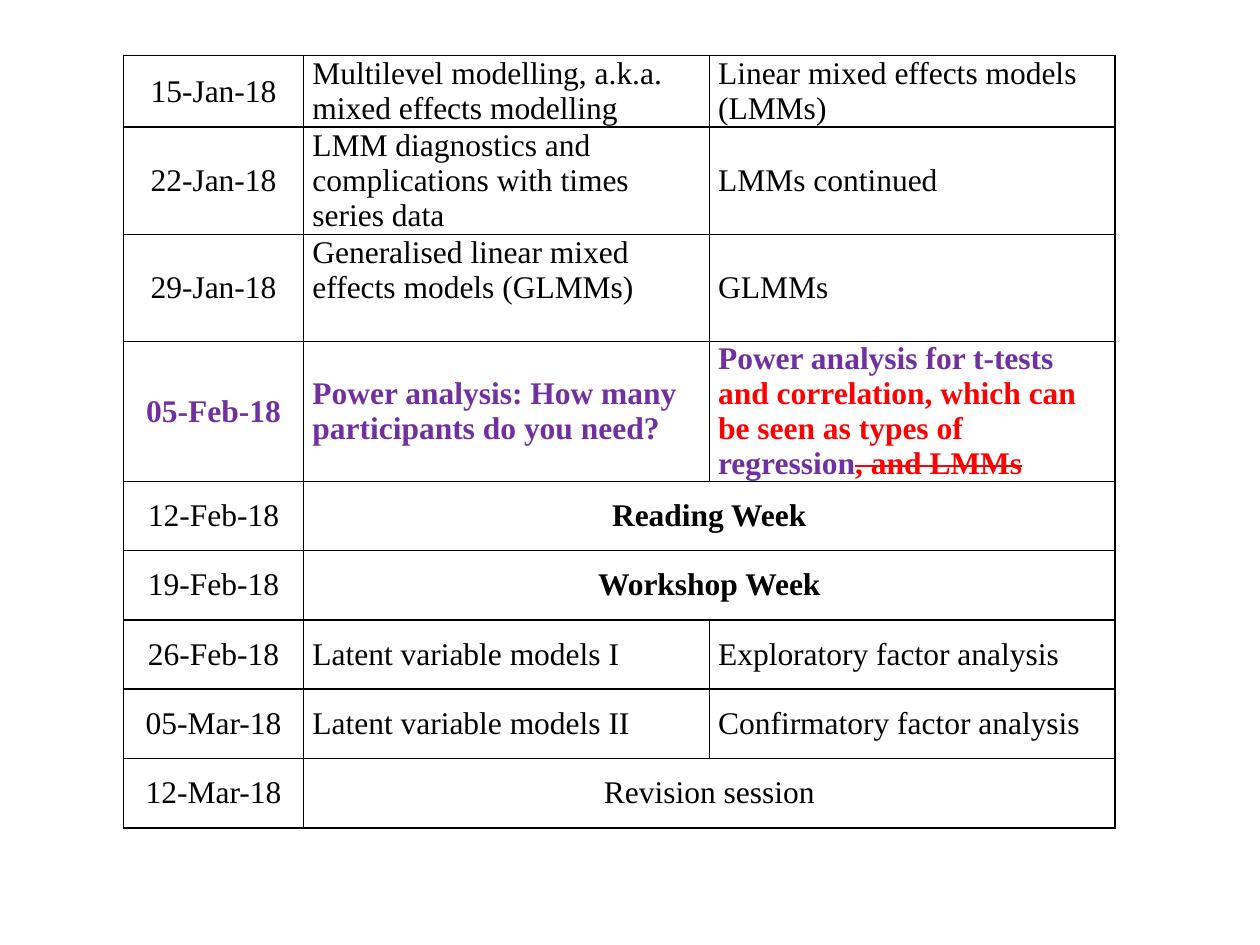
from lxml.etree import SubElement
from pptx import Presentation
from pptx.dml.color import RGBColor
from pptx.enum.text import MSO_ANCHOR, PP_ALIGN
from pptx.oxml.ns import qn
from pptx.util import Inches, Pt

BLACK, PURPLE, RED = "000000", "7030A0", "FF0000"
COLUMN_WIDTHS = [1.43, 3.22, 3.22]
POWER_WEEK = "05-Feb-18"
GLMM_LECTURE = "Generalised linear mixed effects models (GLMMs)"

# Height, date, lecture and practical; a week without a practical spans both columns.
WEEKS = [
    (0.57, "15-Jan-18", "Multilevel modelling, a.k.a. mixed effects modelling",
     "Linear mixed effects models (LMMs)"),
    (0.85, "22-Jan-18", "LMM diagnostics and complications with times series data",
     "LMMs continued"),
    (0.85, "29-Jan-18", GLMM_LECTURE, "GLMMs"),
    (1.11, POWER_WEEK, "Power analysis: How many participants do you need?",
     [("Power analysis for t-tests ", PURPLE),
      ("and correlation, which can be seen as types of ", RED),
      ("regression", PURPLE),
      (", and LMMs", RED, True)]),
    (0.55, "12-Feb-18", "Reading Week", None),
    (0.55, "19-Feb-18", "Workshop Week", None),
    (0.55, "26-Feb-18", "Latent variable models I", "Exploratory factor analysis"),
    (0.55, "05-Mar-18", "Latent variable models II", "Confirmatory factor analysis"),
    (0.55, "12-Mar-18", "Revision session", None),
]
BOLD_SESSIONS = {"Reading Week", "Workshop Week"}


def rgb(color):
    return RGBColor.from_string(color)


def style_cell(cell):
    """Give the cell thin black borders, no fill and tight margins."""
    properties = cell._tc.get_or_add_tcPr()
    for side in ("a:lnL", "a:lnR", "a:lnT", "a:lnB"):
        border = SubElement(properties, qn(side), w=str(Pt(1)))
        border_fill = SubElement(border, qn("a:solidFill"))
        SubElement(border_fill, qn("a:srgbClr"), val=BLACK)
    cell.fill.background()
    cell.vertical_anchor = MSO_ANCHOR.MIDDLE
    cell.margin_left = cell.margin_right = Inches(0.07)
    cell.margin_top = cell.margin_bottom = 0


def write_cell(cell, content, color=BLACK, bold=False, centred=False):
    """Write a string, or a list of (text, colour, struck) runs."""
    paragraph = cell.text_frame.paragraphs[0]
    paragraph.alignment = PP_ALIGN.CENTER if centred else PP_ALIGN.LEFT
    paragraph.font.name = "Times New Roman"
    paragraph.font.size = Pt(18)
    paragraph.font.bold = bold
    pieces = [(content, color)] if isinstance(content, str) else content
    for text, run_color, *struck in pieces:
        run = paragraph.add_run()
        run.text = text
        run.font.name = "Times New Roman"
        run.font.size = Pt(18)
        run.font.bold = bold
        run.font.color.rgb = rgb(run_color)
        if struck:
            run.font._element.set("strike", "sngStrike")


def fill_week(timetable, row, date, lecture, practical):
    highlighted = date == POWER_WEEK
    color = PURPLE if highlighted else BLACK
    bold = highlighted or lecture in BOLD_SESSIONS
    date_cell, lecture_cell, practical_cell = (
        timetable.cell(row, column) for column in range(3))
    for cell in (date_cell, lecture_cell, practical_cell):
        style_cell(cell)
    write_cell(date_cell, date, color, highlighted, centred=True)
    write_cell(lecture_cell, lecture, color, bold, centred=practical is None)
    if practical is None:
        lecture_cell.merge(practical_cell)
    else:
        write_cell(practical_cell, practical, color, bold)
    if lecture == GLMM_LECTURE:
        lecture_cell.margin_bottom = Inches(0.28)


def add_timetable(slide):
    heights = [week[0] for week in WEEKS]
    timetable = slide.shapes.add_table(
        len(WEEKS), len(COLUMN_WIDTHS), Inches(0.98), Inches(0.44),
        Inches(sum(COLUMN_WIDTHS)), Inches(sum(heights))).table
    timetable.first_row = timetable.horz_banding = False
    for column, width in zip(timetable.columns, COLUMN_WIDTHS):
        column.width = Inches(width)
    for row, (height, *week) in enumerate(WEEKS):
        timetable.rows[row].height = Inches(height)
        fill_week(timetable, row, *week)


def main():
    presentation = Presentation()
    presentation.slide_width = Inches(10)
    presentation.slide_height = Inches(7.5)
    slide = presentation.slides.add_slide(presentation.slide_layouts[6])
    add_timetable(slide)
    presentation.save("out.pptx")


if __name__ == "__main__":
    main()
